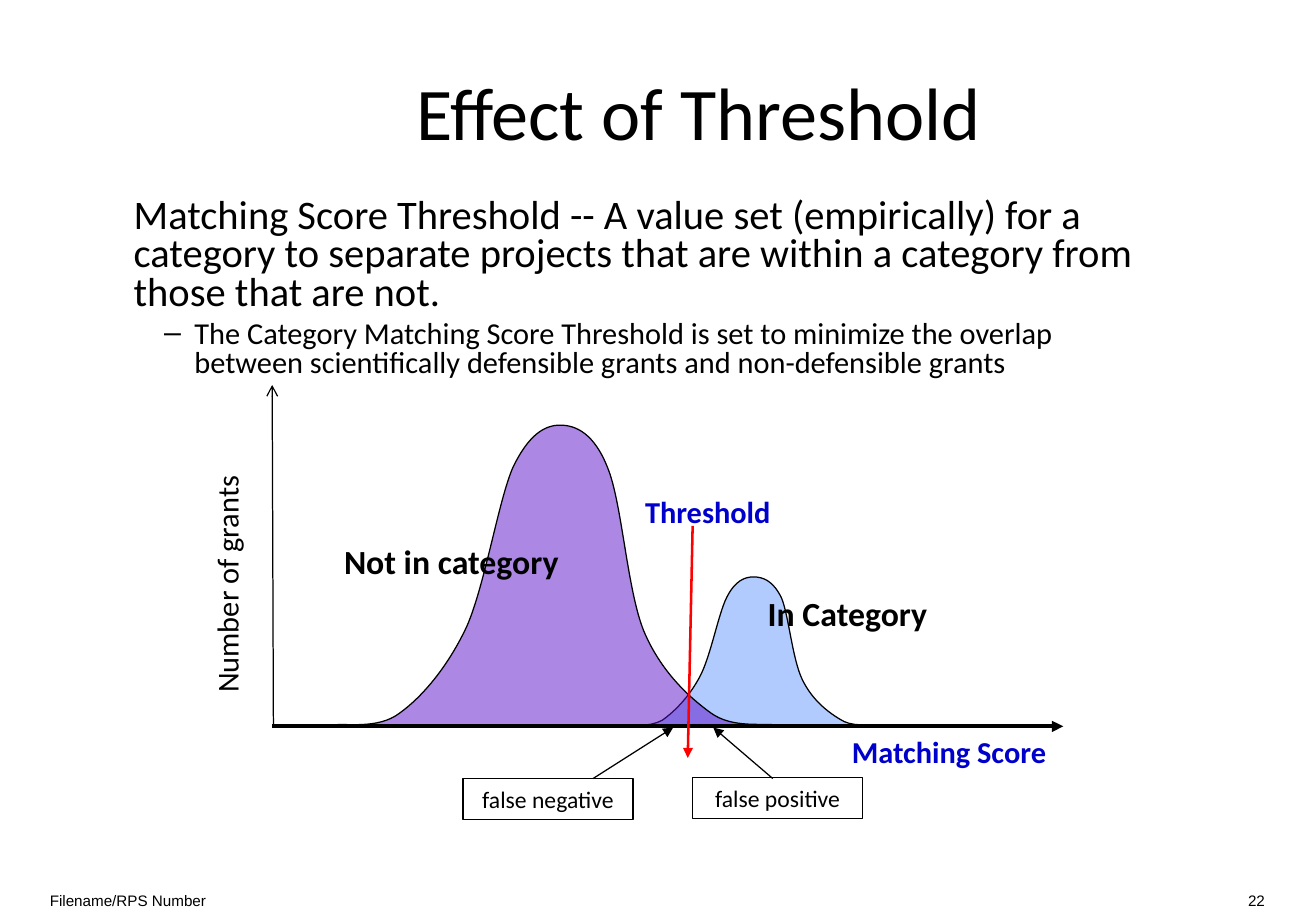
from lxml.etree import SubElement
from pptx import Presentation
from pptx.dml.color import RGBColor
from pptx.enum.shapes import MSO_CONNECTOR, MSO_SHAPE
from pptx.enum.text import MSO_ANCHOR, MSO_AUTO_SIZE, PP_ALIGN
from pptx.oxml.ns import qn
from pptx.util import Pt

PX = 9144  # 100 px to the inch
BLACK = RGBColor(0x00, 0x00, 0x00)
BLUE = RGBColor(0x00, 0x00, 0xCC)
RED = RGBColor(0xFF, 0x00, 0x00)
PURPLE = RGBColor(0x5B, 0x11, 0xC9)
LIGHT_BLUE = RGBColor(0x66, 0x99, 0xFF)


def emu(*lengths):
    return [n * PX for n in lengths]


def write(p, text, size=18, color=BLACK, bold=False, font="Calibri",
          align=PP_ALIGN.CENTER):
    p.alignment = align
    r = p.add_run()
    r.text = text
    r.font.name = font
    r.font.size = Pt(size)
    r.font.bold = bold
    r.font.color.rgb = color


prs = Presentation()
prs.slide_width, prs.slide_height = emu(1083, 750)
s = prs.slides.add_slide(prs.slide_layouts[1])

# Title
title = s.shapes.title
title.left, title.top, title.width, title.height = emu(200, 33, 750, 117)
title.text_frame.auto_size = MSO_AUTO_SIZE.NONE
title.text_frame.vertical_anchor = MSO_ANCHOR.MIDDLE
write(title.text_frame.paragraphs[0], "Effect of Threshold", size=44)

# Definition and its sub-point
body = s.placeholders[1]
body.left, body.top, body.width, body.height = emu(100, 158, 850, 500)
tf = body.text_frame
tf.auto_size = MSO_AUTO_SIZE.NONE
points = [
    ("Matching Score Threshold -- A value set (empirically) for a category to "
     "separate projects that are within a category from those that are not.",
     24, 0, 0, 0, None),
    ("The Category Matching Score Threshold is set to minimize the overlap "
     "between scientifically defensible grants and non-defensible grants",
     18, 4, 50, -25, "–"),
]
for level, (text, size, before, margin, indent, bullet) in enumerate(points):
    p = tf.add_paragraph() if level else tf.paragraphs[0]
    p.level = level
    p.line_spacing = 0.8
    p.space_before = Pt(before)
    pPr = p._p.get_or_add_pPr()
    pPr.set("marL", str(margin * PX))
    pPr.set("indent", str(indent * PX))
    if bullet:
        SubElement(pPr, qn("a:buChar")).set("char", bullet)
    else:
        SubElement(pPr, qn("a:buNone"))
    write(p, text, size=size, align=PP_ALIGN.LEFT)

# Distribution curves: start point, then three points per Bezier section
diagram = s.shapes.add_group_shape().shapes
curves = [
    (LIGHT_BLUE, [
        (513, 597),
        (518, 597), (534, 599), (545, 593), (555, 586), (567, 574), (576, 557),
        (585, 540), (591, 506), (598, 492), (605, 478), (613, 475), (620, 475),
        (628, 475), (636, 478), (643, 492), (649, 506), (652, 542), (660, 559),
        (668, 576), (681, 586), (691, 592), (701, 599), (715, 596), (722, 597)]),
    (PURPLE, [
        (274, 597),
        (283, 595), (311, 601), (329, 587), (347, 574), (368, 550), (384, 516),
        (399, 482), (410, 413), (422, 385), (435, 358), (448, 350), (461, 350),
        (474, 350), (489, 357), (500, 385), (512, 414), (516, 486), (530, 520),
        (544, 553), (567, 574), (585, 587), (603, 600), (628, 595), (639, 597)]),
]
for color, dots in curves:
    builder = diagram.build_freeform(*dots[0], scale=PX)
    builder.add_line_segments(dots[1:], close=False)
    sp = builder.convert_to_shape()
    # Each three straight pieces become one Bezier section
    pieces = list(sp._element.iter(qn("a:lnTo")))
    for i in range(0, len(pieces), 3):
        bezier = SubElement(pieces[i].getparent(), qn("a:cubicBezTo"))
        for piece in pieces[i:i + 3]:
            bezier.append(piece[0])
            piece.getparent().remove(piece)
    sp.shadow.inherit = False
    sp.fill.solid()
    sp.fill.fore_color.rgb = color
    tint = sp.fill._xPr.find(qn("a:solidFill"))[0]
    SubElement(tint, qn("a:alpha")).set("val", "50000")
    sp.line.color.rgb = BLACK
    sp.line.width = Pt(0.75)

# Boxes naming the two kinds of error
for text, x, y in [("false negative", 381, 641), ("false positive", 570, 640)]:
    sp = diagram.add_shape(MSO_SHAPE.RECTANGLE, *emu(x, y, 140, 34))
    sp.shadow.inherit = False
    sp.fill.background()
    sp.line.color.rgb = BLACK
    sp.line.width = Pt(0.75)
    sp.text_frame.word_wrap = True
    write(sp.text_frame.paragraphs[0], text, size=14)

# Axes, pointers and the threshold arrow
arrows = [
    ((225, 598, 224, 317), BLACK, 0.75, "arrow"),
    ((224, 598, 875, 598), BLACK, 2.25, "triangle"),
    ((488, 641, 554, 599), BLACK, 0.75, "triangle"),
    ((636, 641, 587, 599), BLACK, 0.75, "triangle"),
    ((570, 433, 566, 624), RED, 1.5, "triangle"),
]
for ends, color, width, head in arrows:
    line = diagram.add_connector(MSO_CONNECTOR.STRAIGHT, *emu(*ends))
    line.line.color.rgb = color
    line.line.width = Pt(width)
    SubElement(line.line._get_or_add_ln(), qn("a:tailEnd")).set("type", head)
    SubElement(line._element.spPr, qn("a:effectLst"))

# Chart labels
labels = [
    ("In Category", (611, 483, 173, 43), 0, True, dict(size=20, bold=True)),
    ("Not in category", (255, 440, 233, 43), 0, True, dict(size=20, bold=True)),
    ("Matching Score", (679, 599, 204, 40), 0, False, dict(color=BLUE, bold=True)),
    ("Threshold", (513, 401, 139, 40), 0, False, dict(color=BLUE, bold=True)),
    ("Number of grants", (80, 461, 213, 40), 270, False, {}),
]
for text, box, rotation, wrap, style in labels:
    sp = diagram.add_textbox(*emu(*box))
    sp.rotation = rotation
    sp.text_frame.word_wrap = wrap
    sp.text_frame.auto_size = MSO_AUTO_SIZE.SHAPE_TO_FIT_TEXT
    write(sp.text_frame.paragraphs[0], text, **style)

# Footer
for text, x, align in [("Filename/RPS Number", 41, PP_ALIGN.LEFT),
                       ("22", 891, PP_ALIGN.RIGHT)]:
    tf = s.shapes.add_textbox(*emu(x, 734, 150, 15)).text_frame
    tf.margin_left = tf.margin_top = tf.margin_right = tf.margin_bottom = 0
    tf.word_wrap = True
    write(tf.paragraphs[0], text, size=9, font="Arial", align=align)

prs.save("out.pptx")
